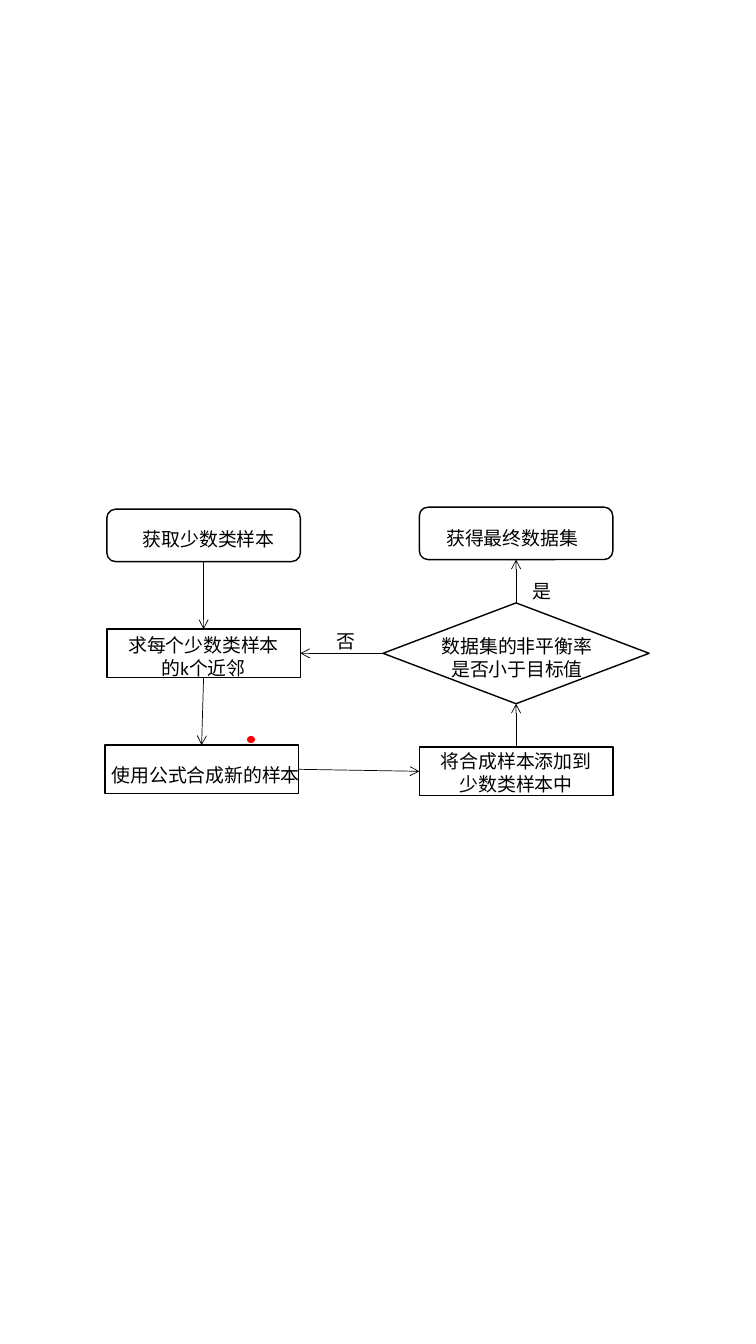
"""Build a flowchart slide of minority-class oversampling."""
from dataclasses import dataclass

import lxml.etree
import pptx
import pptx.dml.color
import pptx.enum.shapes
import pptx.enum.text
import pptx.oxml.ns
import pptx.shapes.autoshape
import pptx.slide
import pptx.util

Inches = pptx.util.Inches
Preset = pptx.enum.shapes.MSO_SHAPE
COLORS = {"ink": "000000", "dot": "FF0000"}
FONT_NAME = "Calibri"
FONT_SIZE = 13.5
TOP, LEFT, BOTTOM, RIGHT = range(4)
SIDE_FRACTIONS = {TOP: (0.5, 0), LEFT: (0, 0.5), BOTTOM: (0.5, 1), RIGHT: (1, 0.5)}
BOX_WIDTH, STEP_HEIGHT, END_HEIGHT = 1.92, 0.48, 0.52


@dataclass(frozen=True)
class Node:
    preset: Preset
    left: float
    top: float
    width: float
    height: float


@dataclass(frozen=True)
class Label:
    lines: tuple[str, ...]
    left: float
    top: float
    width: float


@dataclass(frozen=True)
class Arrow:
    start: str
    start_side: int
    end: str
    end_side: int


NODES = {
    "collect": Node(Preset.ROUNDED_RECTANGLE, 1.06, 5.05, BOX_WIDTH, END_HEIGHT),
    "neighbors": Node(Preset.RECTANGLE, 1.06, 6.24, BOX_WIDTH, STEP_HEIGHT),
    "synthesize": Node(Preset.RECTANGLE, 1.04, 7.39, BOX_WIDTH, STEP_HEIGHT),
    "append": Node(Preset.RECTANGLE, 4.16, 7.41, BOX_WIDTH, STEP_HEIGHT),
    "decision": Node(Preset.DIAMOND, 3.8, 5.98, 2.64, 1),
    "result": Node(Preset.ROUNDED_RECTANGLE, 4.16, 5.03, BOX_WIDTH, END_HEIGHT),
}
ARROWS = (
    Arrow("collect", BOTTOM, "neighbors", TOP),
    Arrow("neighbors", BOTTOM, "synthesize", TOP),
    Arrow("synthesize", RIGHT, "append", LEFT),
    Arrow("append", TOP, "decision", BOTTOM),
    Arrow("decision", LEFT, "neighbors", RIGHT),
    Arrow("decision", TOP, "result", BOTTOM),
)
LABELS = (
    Label(("获取少数类样本",), 1.32, 5.18, 1.51),
    Label(("求每个少数类样本", "的k个近邻"), 1.17, 6.24, 1.7),
    Label(("使用公式合成新的样本",), 1.01, 7.52, 2.08),
    Label(("将合成样本添加到", "少数类样本中"), 4.27, 7.39, 1.7),
    Label(("数据集的非平衡率", "是否小于目标值"), 4.28, 6.25, 1.7),
    Label(("获得最终数据集",), 4.33, 5.17, 1.51),
    Label(("否",), 3.24, 6.2, 0.39),
    Label(("是",), 5.18, 5.7, 0.39),
)
DOT = Node(Preset.OVAL, 2.45, 7.3, 0.08, 0.07)


def color(name: str) -> pptx.dml.color.RGBColor:
    return pptx.dml.color.RGBColor.from_string(COLORS[name])


def add_node(slide: pptx.slide.Slide, node: Node) -> pptx.shapes.autoshape.Shape:
    shape = slide.shapes.add_shape(
        node.preset, Inches(node.left), Inches(node.top),
        Inches(node.width), Inches(node.height))
    shape.shadow.inherit = False
    shape.fill.background()
    shape.line.color.rgb = color("ink")
    shape.line.width = pptx.util.Pt(1)
    return shape


def add_dot(slide: pptx.slide.Slide) -> None:
    shape = add_node(slide, DOT)
    shape.fill.solid()
    shape.fill.fore_color.rgb = color("dot")
    shape.line.fill.background()


def side_middle(node: Node, side: int) -> tuple[pptx.util.Length, pptx.util.Length]:
    across, down = SIDE_FRACTIONS[side]
    return Inches(node.left + across * node.width), Inches(node.top + down * node.height)


def add_arrow(slide: pptx.slide.Slide, arrow: Arrow,
              shapes: dict[str, pptx.shapes.autoshape.Shape]) -> None:
    connector = slide.shapes.add_connector(
        pptx.enum.shapes.MSO_CONNECTOR.STRAIGHT,
        *side_middle(NODES[arrow.start], arrow.start_side),
        *side_middle(NODES[arrow.end], arrow.end_side))
    connector.begin_connect(shapes[arrow.start], arrow.start_side)
    connector.end_connect(shapes[arrow.end], arrow.end_side)
    connector.line.color.rgb = color("ink")
    connector.line.width = pptx.util.Pt(0.5)
    qualify = pptx.oxml.ns.qn
    properties = connector.element.find(qualify("p:spPr"))
    line = properties.find(qualify("a:ln"))
    lxml.etree.SubElement(line, qualify("a:tailEnd"), type="arrow")
    lxml.etree.SubElement(properties, qualify("a:effectLst"))


def add_label(slide: pptx.slide.Slide, label: Label) -> None:
    height = 0.1 + 0.23 * len(label.lines)
    text_box = slide.shapes.add_textbox(
        Inches(label.left), Inches(label.top), Inches(label.width), Inches(height))
    frame = text_box.text_frame
    frame.word_wrap = False
    frame.auto_size = pptx.enum.text.MSO_AUTO_SIZE.SHAPE_TO_FIT_TEXT
    alignment = pptx.enum.text.PP_ALIGN
    for index, line in enumerate(label.lines):
        paragraph = frame.add_paragraph() if index else frame.paragraphs[0]
        paragraph.alignment = alignment.CENTER if len(label.lines) > 1 else alignment.LEFT
        run = paragraph.add_run()
        run.text = line
        run.font.name = FONT_NAME
        run.font.size = pptx.util.Pt(FONT_SIZE)
        run.font.color.rgb = color("ink")


def main() -> None:
    presentation = pptx.Presentation()
    presentation.slide_width = Inches(7.5)
    presentation.slide_height = Inches(13.33)
    slide = presentation.slides.add_slide(presentation.slide_layouts[6])
    shapes = {name: add_node(slide, node) for name, node in NODES.items()}
    for arrow in ARROWS:
        add_arrow(slide, arrow, shapes)
    for label in LABELS:
        add_label(slide, label)
    add_dot(slide)
    presentation.save("out.pptx")


if __name__ == "__main__":
    main()
